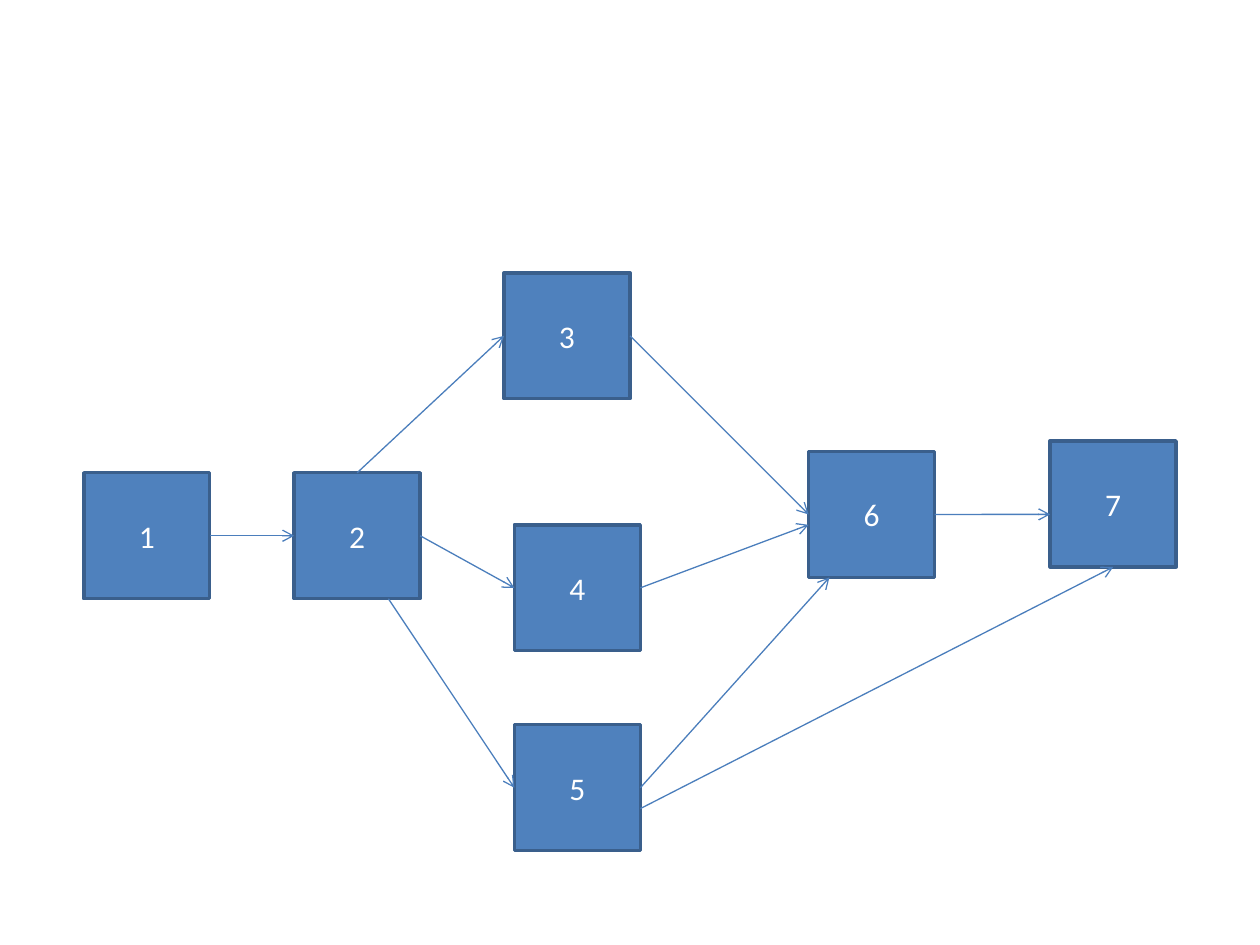
"""Build a slide with a network of seven numbered steps joined by arrows."""
from collections import namedtuple

from lxml.etree import SubElement
from pptx import Presentation
from pptx.dml.color import RGBColor
from pptx.enum.shapes import MSO_CONNECTOR as Connector, MSO_SHAPE as Shape
from pptx.enum.text import MSO_ANCHOR as Anchor, PP_ALIGN as Align
from pptx.oxml.ns import qn
from pptx.util import Cm, Pt

Point = namedtuple("Point", "x y")
Joint = namedtuple("Joint", "step side")

TOP, LEFT, BOTTOM, RIGHT = range(4)
MIDDLES = {TOP: (0.5, 0), LEFT: (0, 0.5), BOTTOM: (0.5, 1), RIGHT: (1, 0.5)}
SIDE = 2.54
FILL = RGBColor(0x4F, 0x81, 0xBD)
BORDER = RGBColor(0x3A, 0x5F, 0x8C)
ARROW = RGBColor(0x4B, 0x7E, 0xBC)
WHITE = RGBColor(0xFF, 0xFF, 0xFF)

STEPS = {
    "1": Point(1.69, 9.53),
    "2": Point(5.93, 9.53),
    "3": Point(10.16, 5.5),
    "4": Point(10.37, 10.58),
    "5": Point(10.37, 14.61),
    "6": Point(16.3, 9.1),
    "7": Point(21.17, 8.89),
}
ARROWS = [
    (Joint("1", RIGHT), Joint("2", LEFT)),
    (Joint("2", TOP), Joint("3", LEFT)),
    (Joint("2", RIGHT), Joint("4", LEFT)),
    (Point(7.83, 12.07), Joint("5", LEFT)),
    (Joint("3", RIGHT), Joint("6", LEFT)),
    (Joint("4", RIGHT), Point(16.3, 10.58)),
    (Joint("5", RIGHT), Point(16.72, 11.64)),
    (Joint("6", RIGHT), Point(21.17, 10.37)),
    (Point(12.91, 16.3), Joint("7", BOTTOM)),
]


def add_step(page, label, corner):
    box = page.shapes.add_shape(
        Shape.RECTANGLE, Cm(corner.x), Cm(corner.y), Cm(SIDE), Cm(SIDE))
    box.shadow.inherit = False
    box.fill.solid()
    box.fill.fore_color.rgb = FILL
    box.line.color.rgb = BORDER
    box.line.width = Pt(2)
    box.text_frame.vertical_anchor = Anchor.MIDDLE
    para = box.text_frame.paragraphs[0]
    para.alignment = Align.CENTER
    span = para.add_run()
    span.text = label
    span.font.name = "Calibri"
    span.font.size = Pt(18)
    span.font.color.rgb = WHITE
    return box


def locate(end):
    if isinstance(end, Point):
        return end
    corner = STEPS[end.step]
    across, down = MIDDLES[end.side]
    return Point(corner.x + across * SIDE, corner.y + down * SIDE)


def add_arrow(page, boxes, start, finish):
    lengths = [Cm(value) for value in locate(start) + locate(finish)]
    arrow = page.shapes.add_connector(Connector.STRAIGHT, *lengths)
    for end, connect in ((start, arrow.begin_connect), (finish, arrow.end_connect)):
        if isinstance(end, Joint):
            connect(boxes[end.step], end.side)
    arrow.line.color.rgb = ARROW
    arrow.line.width = Pt(0.75)
    SubElement(arrow.line._get_or_add_ln(), qn("a:tailEnd"), type="arrow")
    SubElement(arrow._element.spPr, qn("a:effectLst"))


def main():
    deck = Presentation()
    deck.slide_width, deck.slide_height = Cm(25.4), Cm(19.05)
    page = deck.slides.add_slide(deck.slide_layouts[6])
    boxes = {label: add_step(page, label, corner) for label, corner in STEPS.items()}
    for start, finish in ARROWS:
        add_arrow(page, boxes, start, finish)
    deck.save("out.pptx")


if __name__ == "__main__":
    main()
